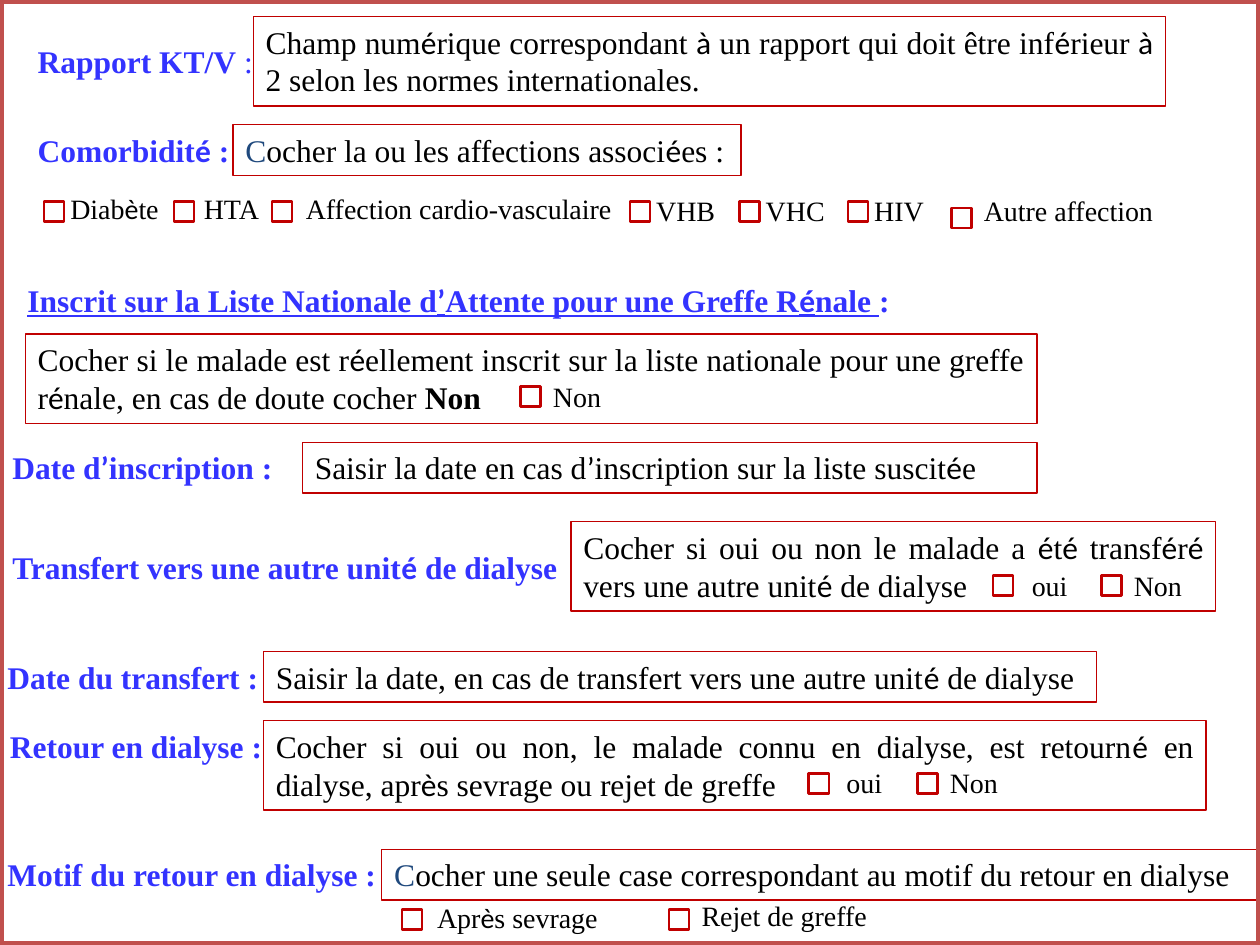
from itertools import groupby

from pptx import Presentation
from pptx.dml.color import RGBColor
from pptx.enum.shapes import MSO_SHAPE
from pptx.enum.text import MSO_ANCHOR, PP_ALIGN
from pptx.util import Pt

BLUE, NAVY, BLACK, RED, BORDER = "3333FF", "1F497D", "000000", "C00000", "C0504D"
ONE_LINE, TWO_LINES, CHECK = 29, 51.1, 11.5


def rgb(value):
    """Turn a hex string into a colour."""
    return RGBColor.from_string(value)


def write(p, text, size, color=BLACK, bold=False, underline=False):
    """Add text in Times New Roman, with é, è, à and ’ in Calibri."""
    for special, chars in groupby(text, lambda ch: ch in "éèà’"):
        r = p.add_run()
        r.text = "".join(chars)
        r.font.name = "Calibri" if special else "Times New Roman"
        r.font.size = Pt(size)
        r.font.color.rgb = rgb(color)
        r.font.bold = bold
        r.font.underline = underline


def add_text(s, x, y, w, h, wrap=False):
    """Add an empty text box and return its paragraph."""
    tf = s.shapes.add_textbox(Pt(x), Pt(y), Pt(w), Pt(h)).text_frame
    tf.word_wrap = wrap
    return tf.paragraphs[0]


def add_outline(s, x, y, w, h, color=RED, weight=0.75):
    """Add an unfilled rectangle with a coloured line."""
    sp = s.shapes.add_shape(MSO_SHAPE.RECTANGLE, Pt(x), Pt(y), Pt(w), Pt(h))
    sp.shadow.inherit = False
    sp.fill.background()
    sp.line.color.rgb = rgb(color)
    sp.line.width = Pt(weight)
    return sp


def add_option(s, x, y, text, w, gap=11.5, rise=7.9, wrap=False):
    """Add a check box with its caption to the right."""
    add_outline(s, x, y, CHECK, CHECK, weight=1.5)
    write(add_text(s, x + gap, y - rise, w, 26.6, wrap), text, 16)


def add_label(s, x, y, w, text, colon="", bold_colon=True, underline=False):
    """Add the blue label of a field."""
    p = add_text(s, x, y, w, ONE_LINE, wrap=underline)
    write(p, text, 18, BLUE, True, underline)
    if colon:
        write(p, colon, 18, BLUE, bold_colon)


def add_field(s, box, label, text, bold_end="", initial="", options=()):
    """Add a label, a framed explanation and its options around the frame box."""
    x, y, w, h = box
    dx, dy, label_w, *style = label
    add_label(s, x + dx, y + dy, label_w, *style)
    tf = add_outline(s, x, y, w, h).text_frame
    tf.word_wrap = True
    tf.vertical_anchor = MSO_ANCHOR.TOP
    p = tf.paragraphs[0]
    p.alignment = PP_ALIGN.JUSTIFY
    if initial:
        write(p, initial, 18, NAVY)
    write(p, text, 18)
    if bold_end:
        write(p, bold_end, 18, bold=True)
    for option_x, option_y, *caption in options:
        add_option(s, x + option_x, y + option_y, *caption)


def add_upper_fields(s):
    """Add the ratio, comorbidity and waiting list fields."""
    add_field(s, (144.7, 9.4, 521.3, TWO_LINES),
              (-130.3, 10.8, 138.2, "Rapport KT/V\u00a0", ":", False),
              "Champ numérique correspondant à un rapport qui doit être inférieur à "
              "2 selon les normes internationales.")
    add_field(s, (133.2, 71.3, 290.2, ONE_LINE),
              (-118.8, 0, 129.6, "Comorbidité\u00a0:"),
              "ocher la ou les affections associées\u00a0:", initial="C",
              options=[(-108, 43.9, "Diabète", 65.5, 7.9, 9.4),
                       (-33.8, 43.9, "HTA", 46, 10, 9.4),
                       (22.3, 43.9, "Affection cardio-vasculaire", 192.2, 12.2, 9.4),
                       (226.8, 43.9, "VHB", 48.2, 7.9),
                       (289.4, 43.9, "VHC", 48.2, 7.9),
                       (351.4, 43.9, "HIV", 43.2, 7.9),
                       (410.4, 47.5, "Autre affection", 124.6, 11.5, 11.5, True)])
    add_field(s, (14.4, 190.8, 578.2, TWO_LINES),
              (-5.8, -33.8, 532.8,
               "Inscrit sur la Liste Nationale d’Attente pour une Greffe Rénale\u00a0",
               ":", True, True),
              "Cocher si le malade est réellement inscrit sur la liste nationale pour "
              "une greffe rénale, en cas de doute cocher ", bold_end="Non",
              options=[(283, 30.2, "Non", 42.5)])
    add_field(s, (172.8, 252.7, 419.8, ONE_LINE),
              (-172.8, 0, 167.8, "Date d’inscription\u00a0:"),
              "Saisir la date en cas d’inscription sur la liste suscitée")


def add_lower_fields(s):
    """Add the transfer and return to dialysis fields."""
    add_field(s, (326.2, 298.1, 368.6, TWO_LINES),
              (-326.2, 11.5, 333.4, "Transfert vers une autre unité de dialyse\u00a0"),
              "Cocher si oui ou non le malade a été transféré vers une autre unité "
              "de dialyse",
              options=[(241.2, 30.9, "oui", 35.3, 15.1), (303.1, 30.9, "Non", 42.5)])
    add_field(s, (150.5, 372.2, 475.9, ONE_LINE),
              (-153.4, 0, 163.4, "Date du transfert\u00a0:"),
              "Saisir la date, en cas de transfert vers une autre unité de dialyse")
    add_field(s, (150.5, 411.8, 538.6, TWO_LINES),
              (-151.9, 0, 164.2, "Retour en dialyse\u00a0:"),
              "Cocher si oui ou non, le malade connu en dialyse, est retourné en "
              "dialyse, après sevrage ou rejet de greffe",
              options=[(311.7, 30.2, "oui", 35.3, 14.4), (373.7, 30.2, "Non", 42.5)])
    add_field(s, (218.2, 485.3, 501.8, ONE_LINE),
              (-221.1, 0, 231.8, "Motif du retour en dialyse\u00a0:"),
              "ocher une seule case correspondant au motif du retour en dialyse\u00a0",
              initial="C",
              options=[(11.5, 34.5, "Après sevrage", 111.6, 13, 8.6),
                       (164.1, 34.5, "Rejet de greffe", 136.1, 11.5, 10.1, True)])


def main():
    """Build the slide and save it."""
    prs = Presentation()
    prs.slide_width, prs.slide_height = Pt(720), Pt(540)
    s = prs.slides.add_slide(prs.slide_layouts[6])
    add_upper_fields(s)
    add_lower_fields(s)
    add_outline(s, 0, 0, 720, 540, BORDER, 4.5)
    prs.save("out.pptx")


if __name__ == "__main__":
    main()
